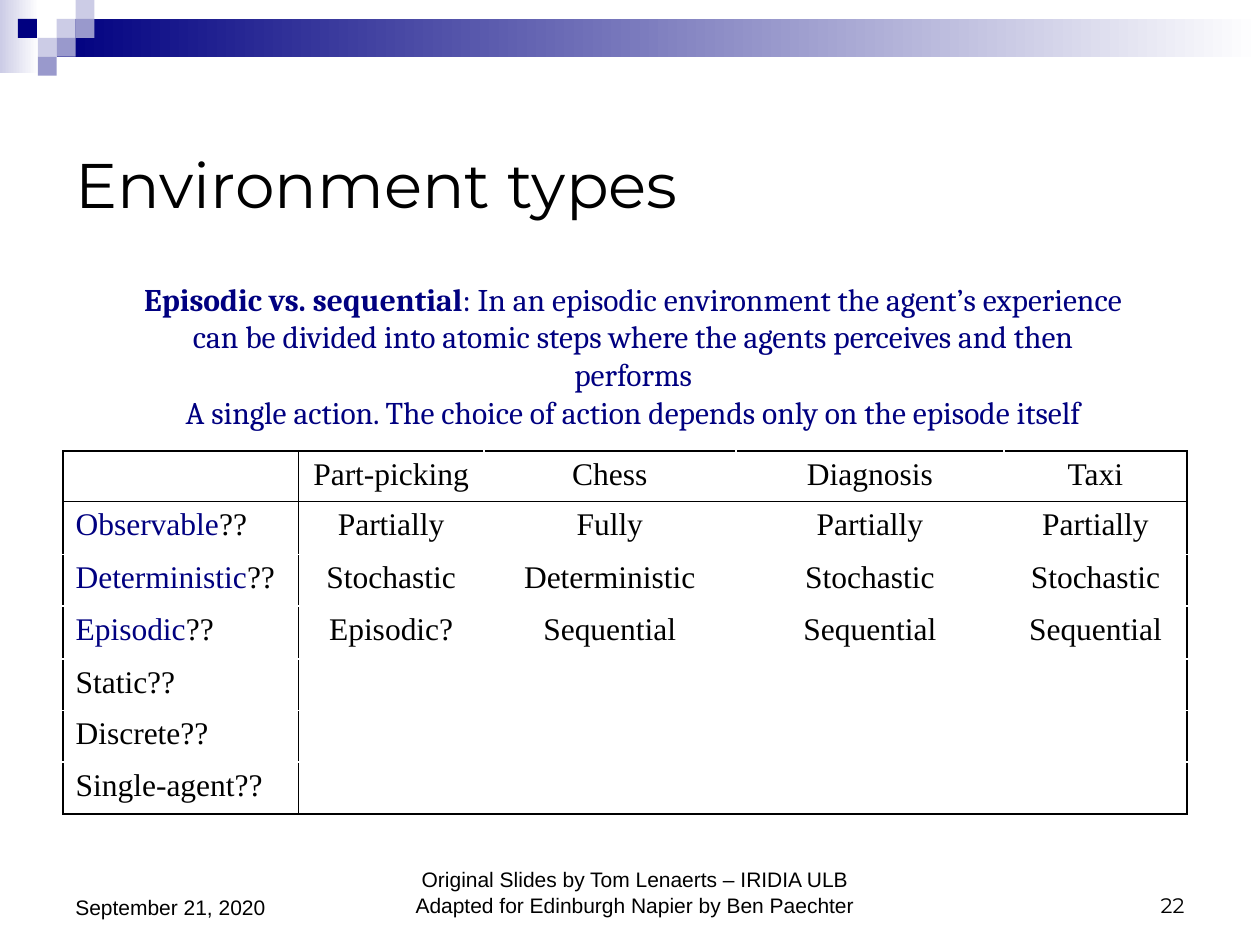
from dataclasses import dataclass

import pptx
import pptx.dml.color
import pptx.enum.shapes
import pptx.enum.text
import pptx.oxml
import pptx.oxml.ns
import pptx.util
from pptx.util import Inches

ALIGN = pptx.enum.text.PP_ALIGN
ANCHOR = pptx.enum.text.MSO_ANCHOR


@dataclass(frozen=True)
class Theme:
    ink: str = "000000"
    navy: str = "000080"
    lilac: str = "9999CC"
    pale: str = "CCCCE6"
    paper: str = "FFFFFF"
    title_size: int = 36
    body_size: int = 18
    footer_size: int = 12
    title_face: str = "Montserrat"
    note_face: str = "Cambria"
    table_face: str = "Times New Roman"
    footer_face: str = "Arial"


THEME = Theme()

HEADINGS = ["", "Part-picking", "Chess", "Diagnosis", "Taxi"]
PROPERTIES = [
    ("Observable", ["Partially", "Fully", "Partially", "Partially"]),
    ("Deterministic", ["Stochastic", "Deterministic", "Stochastic", "Stochastic"]),
    ("Episodic", ["Episodic?", "Sequential", "Sequential", "Sequential"]),
    ("Static", []),
    ("Discrete", []),
    ("Single-agent", []),
]
COLUMN_WIDTHS = [1.87, 1.47, 2, 2.13, 1.45]
ROW_HEIGHTS = [0.4, 0.42, 0.41, 0.42, 0.41, 0.41, 0.41]


def rgb(value):
    return pptx.dml.color.RGBColor.from_string(value)


def style(paragraph, face, size, color, align=ALIGN.LEFT):
    paragraph.alignment = align
    paragraph.font.name = face
    paragraph.font.size = pptx.util.Pt(size)
    paragraph.font.color.rgb = rgb(color)


def add_block(slide, left, top, width, height, colors):
    block = slide.shapes.add_shape(
        pptx.enum.shapes.MSO_SHAPE.RECTANGLE,
        Inches(left), Inches(top), Inches(width), Inches(height))
    block.shadow.inherit = False
    block.line.fill.background()
    if len(colors) == 1:
        block.fill.solid()
        block.fill.fore_color.rgb = rgb(colors[0])
    else:
        block.fill.gradient()
        block.fill.gradient_angle = 0
        for stop, color in zip(block.fill.gradient_stops, colors):
            stop.color.rgb = rgb(color)


def add_banner(slide, left, top, width):
    unit = 0.15
    add_block(slide, left, top, 0.31, 0.58, [THEME.pale, THEME.paper])
    add_block(slide, left + 3 * unit, top + unit, width - 3 * unit, 2 * unit,
              [THEME.navy, THEME.paper])
    mosaic = [
        (3, 1, THEME.pale), (4, 0, THEME.pale), (4, 1, THEME.lilac),
        (2, 2, THEME.pale), (0.95, 1, THEME.navy), (3, 2, THEME.lilac),
        (2, 3, THEME.lilac),
    ]
    for column, row, color in mosaic:
        add_block(slide, left + column * unit, top + row * unit, unit, unit, [color])


def add_title(slide, left, top, width, height):
    title = slide.shapes.title
    title.left, title.top = Inches(left), Inches(top)
    title.width, title.height = Inches(width), Inches(height)
    title.text_frame.text = "Environment types"
    title.text_frame.vertical_anchor = ANCHOR.MIDDLE
    style(title.text_frame.paragraphs[0], THEME.title_face, THEME.title_size, THEME.ink)


def add_text(slide, left, top, width, height, text, face, size, color, align,
             anchor=ANCHOR.BOTTOM):
    frame = slide.shapes.add_textbox(
        Inches(left), Inches(top), Inches(width), Inches(height)).text_frame
    frame.word_wrap = True
    frame.vertical_anchor = anchor
    frame.text = text
    for paragraph in frame.paragraphs:
        style(paragraph, face, size, color, align)
    return frame


def add_definition(slide, left, top, width, height):
    definition = add_text(
        slide, left, top, width, height,
        "\ncan be divided into atomic steps where the agents perceives and then performs"
        "\nA single action. The choice of action depends only on the episode itself",
        THEME.note_face, THEME.body_size, THEME.navy, ALIGN.CENTER, ANCHOR.TOP)
    opening = definition.paragraphs[0]
    term = opening.add_run()
    term.text = "Episodic vs. sequential"
    term.font.bold = True
    opening.add_run().text = ": In an episodic environment the agent’s experience"


def add_border(cell, side):
    cell._tc.get_or_add_tcPr().append(pptx.oxml.parse_xml(
        f'<a:ln{side} {pptx.oxml.ns.nsdecls("a")} w="12700"><a:solidFill>'
        f'<a:srgbClr val="{THEME.ink}"/></a:solidFill></a:ln{side}>'))


def add_environments(slide, left, top):
    table = slide.shapes.add_table(
        len(ROW_HEIGHTS), len(COLUMN_WIDTHS), Inches(left), Inches(top),
        Inches(sum(COLUMN_WIDTHS)), Inches(sum(ROW_HEIGHTS))).table
    table.first_row = table.horz_banding = False
    for column, width in zip(table.columns, COLUMN_WIDTHS):
        column.width = Inches(width)
    for row, height in zip(table.rows, ROW_HEIGHTS):
        row.height = Inches(height)

    last_row, last_column = len(ROW_HEIGHTS) - 1, len(COLUMN_WIDTHS) - 1
    for r in range(last_row + 1):
        for c in range(last_column + 1):
            cell = table.cell(r, c)
            edges = {"L": c <= 1, "R": c in (0, last_column),
                     "T": r <= 1, "B": r in (0, last_row)}
            for side, drawn in edges.items():
                if drawn:
                    add_border(cell, side)
            cell.fill.solid()
            cell.fill.fore_color.rgb = rgb(THEME.paper)
            style(cell.text_frame.paragraphs[0], THEME.table_face, THEME.body_size,
                  THEME.ink, ALIGN.CENTER if c else ALIGN.LEFT)

    for c, heading in enumerate(HEADINGS):
        if heading:
            table.cell(0, c).text_frame.paragraphs[0].add_run().text = heading
    for r, (name, values) in enumerate(PROPERTIES, 1):
        label = table.cell(r, 0).text_frame.paragraphs[0]
        if values:
            known = label.add_run()
            known.text = name
            known.font.color.rgb = rgb(THEME.navy)
            label.add_run().text = "??"
        else:
            label.add_run().text = name + "??"
        for c, value in enumerate(values, 1):
            table.cell(r, c).text_frame.paragraphs[0].add_run().text = value


def add_footer(slide, left, top, width, height):
    side = 2.33
    credit = ("Original Slides by Tom Lenaerts – IRIDIA ULB\n"
              "Adapted for Edinburgh Napier by Ben Paechter")
    parts = [
        (left, side, height + 0.02, "September 21, 2020", THEME.footer_face, ALIGN.LEFT),
        (left + 2.53, 4.02, height, credit, THEME.footer_face, ALIGN.CENTER),
        (left + width - side, side, height, "22", THEME.title_face, ALIGN.RIGHT),
    ]
    for x, part_width, part_height, text, face, align in parts:
        add_text(slide, x, top, part_width, part_height, text, face,
                 THEME.footer_size, THEME.ink, align)


def main():
    deck = pptx.Presentation()
    deck.slide_width, deck.slide_height = Inches(10), Inches(7.5)
    slide = deck.slides.add_slide(deck.slide_layouts[5])
    add_banner(slide, 0, 0, 10)
    add_title(slide, 0.5, 0.83, 9, 1.25)
    add_definition(slide, 1, 2.17, 8.05, 1)
    add_environments(slide, 0.5, 3.58)
    add_footer(slide, 0.5, 6.83, 9, 0.5)
    deck.save("out.pptx")


if __name__ == "__main__":
    main()
